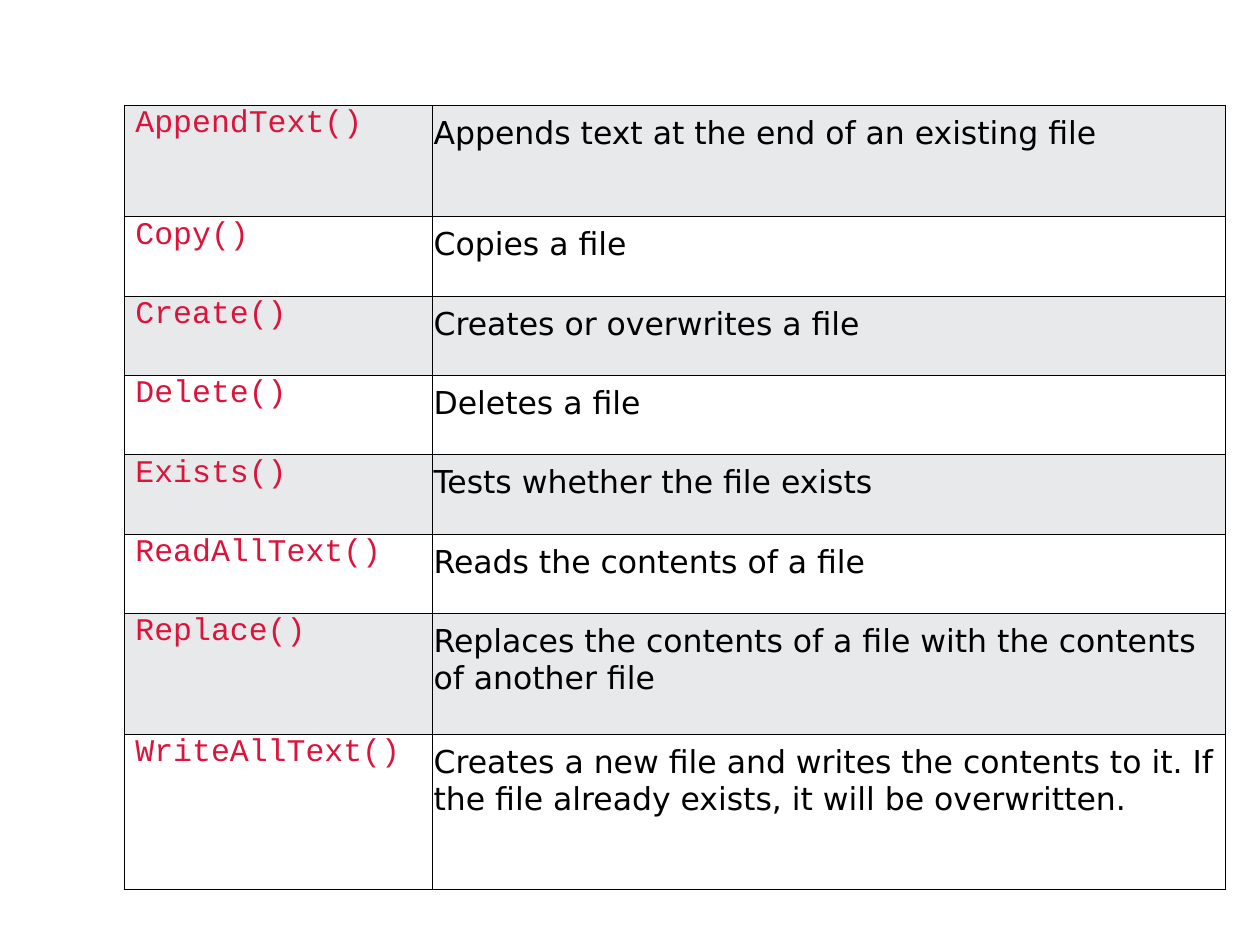
from lxml.etree import SubElement
from pptx import Presentation
from pptx.dml.color import RGBColor
from pptx.enum.text import MSO_ANCHOR
from pptx.oxml.ns import qn
from pptx.util import Cm, Pt

BLACK = RGBColor(0x00, 0x00, 0x00)
WHITE = RGBColor(0xFF, 0xFF, 0xFF)
GREY = RGBColor(0xE7, 0xE9, 0xEB)
CRIMSON = RGBColor(0xDC, 0x14, 0x3C)

# Method, description, row height in cm
METHODS = [
    ("AppendText()", "Appends text at the end of an existing file", 2.24),
    ("Copy()", "Copies a file", 1.6),
    ("Create()", "Creates or overwrites a file", 1.6),
    ("Delete()", "Deletes a file", 1.6),
    ("Exists()", "Tests whether the file exists", 1.6),
    ("ReadAllText()", "Reads the contents of a file", 1.6),
    ("Replace()", "Replaces the contents of a file with the contents of another file", 2.44),
    ("WriteAllText()", "Creates a new file and writes the contents to it. "
     "If the file already exists, it will be overwritten.", 3.12),
]


class SlideBuilder:
    size = Pt(18)
    border = Pt(0.5)
    # Font, colour and left, top, right, bottom margins in cm, per column
    columns = [
        ("Courier New", CRIMSON, (0.23, 0.02, 0.02, 0)),
        ("DejaVu Sans", BLACK, (0.02, 0.2, 0.02, 0.2)),
    ]

    def __init__(self, slide):
        self.s = slide

    def table(self, left, top, widths, rows):
        heights = [row[-1] for row in rows]
        frame = self.s.shapes.add_table(
            len(rows), len(widths), Cm(left), Cm(top), Cm(sum(widths)), Cm(sum(heights)))
        table = frame.table
        table.first_row = table.horz_banding = False
        for column, width in zip(table.columns, widths):
            column.width = Cm(width)
        for i, (*texts, height) in enumerate(rows):
            table.rows[i].height = Cm(height)
            for j, text in enumerate(texts):
                self.cell(table.cell(i, j), text, WHITE if i % 2 else GREY, *self.columns[j])

    def cell(self, cell, text, fill, font, color, margins):
        self.cell_borders(cell)
        cell.fill.solid()
        cell.fill.fore_color.rgb = fill
        cell.vertical_anchor = MSO_ANCHOR.TOP
        (cell.margin_left, cell.margin_top,
         cell.margin_right, cell.margin_bottom) = map(Cm, margins)
        p = cell.text_frame.paragraphs[0]
        p.text = text
        p.font.name = font
        p.font.size = self.size
        p.font.color.rgb = color

    def cell_borders(self, cell):
        tc_pr = cell._tc.get_or_add_tcPr()
        for side in ("L", "R", "T", "B"):
            ln = SubElement(tc_pr, qn(f"a:ln{side}"), w=str(self.border))
            solid = SubElement(ln, qn("a:solidFill"))
            SubElement(solid, qn("a:srgbClr"), val=str(BLACK))


def main():
    prs = Presentation()
    prs.slide_width, prs.slide_height = Cm(25.4), Cm(19.05)
    builder = SlideBuilder(prs.slides.add_slide(prs.slide_layouts[6]))
    builder.table(2.5, 2.13, (6.22, 15.98), METHODS)
    prs.save("out.pptx")


if __name__ == "__main__":
    main()
